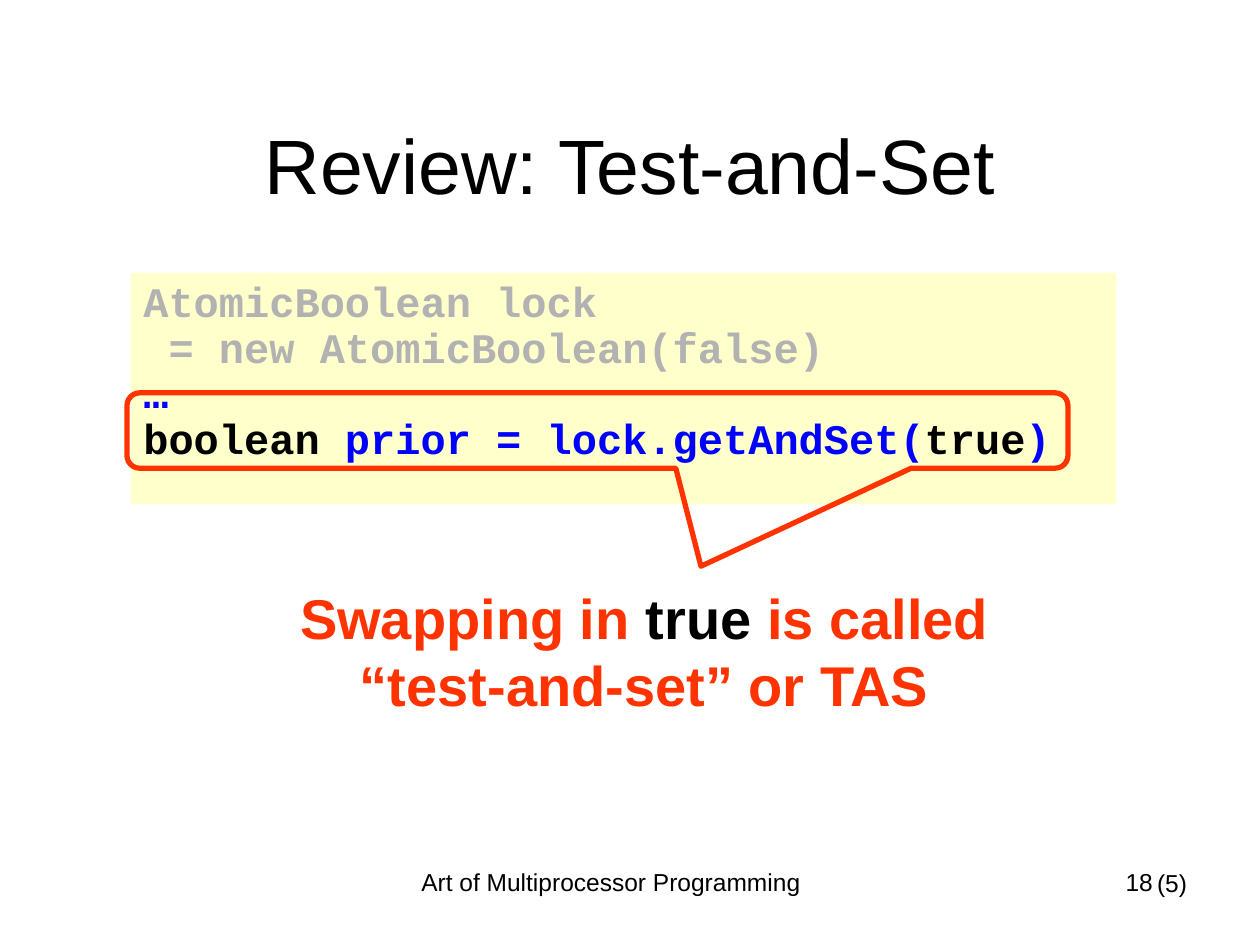
"""Build the test-and-set review slide."""
import pptx
import pptx.dml.color
import pptx.enum.shapes
import pptx.enum.text
import pptx.util

Cm, Pt = pptx.util.Cm, pptx.util.Pt
ALIGN = pptx.enum.text.PP_ALIGN
ANCHOR = pptx.enum.text.MSO_ANCHOR
SHAPE = pptx.enum.shapes.MSO_SHAPE

COLORS = {"black": "000000", "faded": "B2B2B2", "code": "0000FF",
          "accent": "FF3300", "panel": "FFFFCC"}

TITLE = [[("Review: Test-and-Set", "black")]]
CODE = [
    [("AtomicBoolean lock", "faded")],
    [(" = new AtomicBoolean(false)", "faded")],
    [("…", "code")],
    [("boolean", "black"), (" prior = lock.getAndSet(", "code"),
     ("true", "black"), (")", "code")],
]
REMARK = [[("Swapping in ", "accent"), ("true", "black"),
           (" is called “test-and-set” or TAS", "accent")]]
FOOTERS = [
    ("Art of Multiprocessor Programming", (7.34, 17.35, 9.96, 1.27), ALIGN.CENTER, True),
    ("18", (18.21, 17.35, 5.28, 1.27), ALIGN.RIGHT, True),
    ("(5)", (23.06, 17.37, 1.12, 0.86), ALIGN.RIGHT, False),
]

FONTS = {
    "title": {"name": "Arial", "size": Pt(44), "bold": False},
    "code": {"name": "Courier New", "size": Pt(24), "bold": True},
    "remark": {"name": "Arial", "size": Pt(32), "bold": True},
    "footer": {"name": "Arial", "size": Pt(14), "bold": False},
}
CODE_FRAME = {"margin_top": Cm(0.33), "vertical_anchor": ANCHOR.TOP, "word_wrap": True}
CODE_LINE = {"alignment": ALIGN.LEFT, "line_spacing": 0.7}


def rgb(color):
    return pptx.dml.color.RGBColor.from_string(COLORS[color])


def apply(target, values):
    for attribute, value in values.items():
        setattr(target, attribute, value)


def box(left, top, width, height):
    return [Cm(length) for length in (left, top, width, height)]


def write(frame, lines, font, line_format, gap=Pt(0)):
    for index, pieces in enumerate(lines):
        line = frame.add_paragraph() if index else frame.paragraphs[0]
        apply(line, line_format)
        line.space_before = gap if index else Pt(0)
        for text, color in pieces:
            piece = line.add_run()
            piece.text = text
            apply(piece.font, FONTS[font])
            piece.font.color.rgb = rgb(color)


def add_label(slide, place, lines, font, alignment, wrap=True):
    frame = slide.shapes.add_textbox(*box(*place)).text_frame
    frame.word_wrap = wrap
    write(frame, lines, font, {"alignment": alignment})


def main():
    deck = pptx.Presentation()
    apply(deck, {"slide_width": Cm(25.4), "slide_height": Cm(19.05)})
    slide = deck.slides.add_slide(deck.slide_layouts[5])

    title = slide.shapes.title
    apply(title, dict(zip(("left", "top", "width", "height"),
                          box(1.9, 1.7, 21.6, 3.18))))
    title.text_frame.vertical_anchor = ANCHOR.MIDDLE
    write(title.text_frame, TITLE, "title", {"alignment": ALIGN.CENTER})

    panel = slide.shapes.add_shape(SHAPE.RECTANGLE, *box(2.64, 5.5, 19.86, 4.67))
    panel.shadow.inherit = False
    panel.fill.solid()
    panel.fill.fore_color.rgb = rgb("panel")
    panel.line.fill.background()
    apply(panel.text_frame, CODE_FRAME)
    write(panel.text_frame, CODE, "code", CODE_LINE, Pt(6))

    callout = slide.shapes.add_shape(SHAPE.ROUNDED_RECTANGULAR_CALLOUT,
                                     *box(2.56, 7.92, 18.97, 1.52))
    callout.shadow.inherit = False
    callout.fill.background()
    callout.line.color.rgb = rgb("accent")
    callout.line.width = Pt(3)
    for index, value in enumerate((0.11, 1.8, 0.17)):
        callout.adjustments[index] = value

    add_label(slide, (4.95, 11.63, 16.08, 2.97), REMARK, "remark", ALIGN.CENTER)
    for text, place, alignment, wrap in FOOTERS:
        add_label(slide, place, [[(text, "black")]], "footer", alignment, wrap)

    deck.save("out.pptx")


if __name__ == "__main__":
    main()
